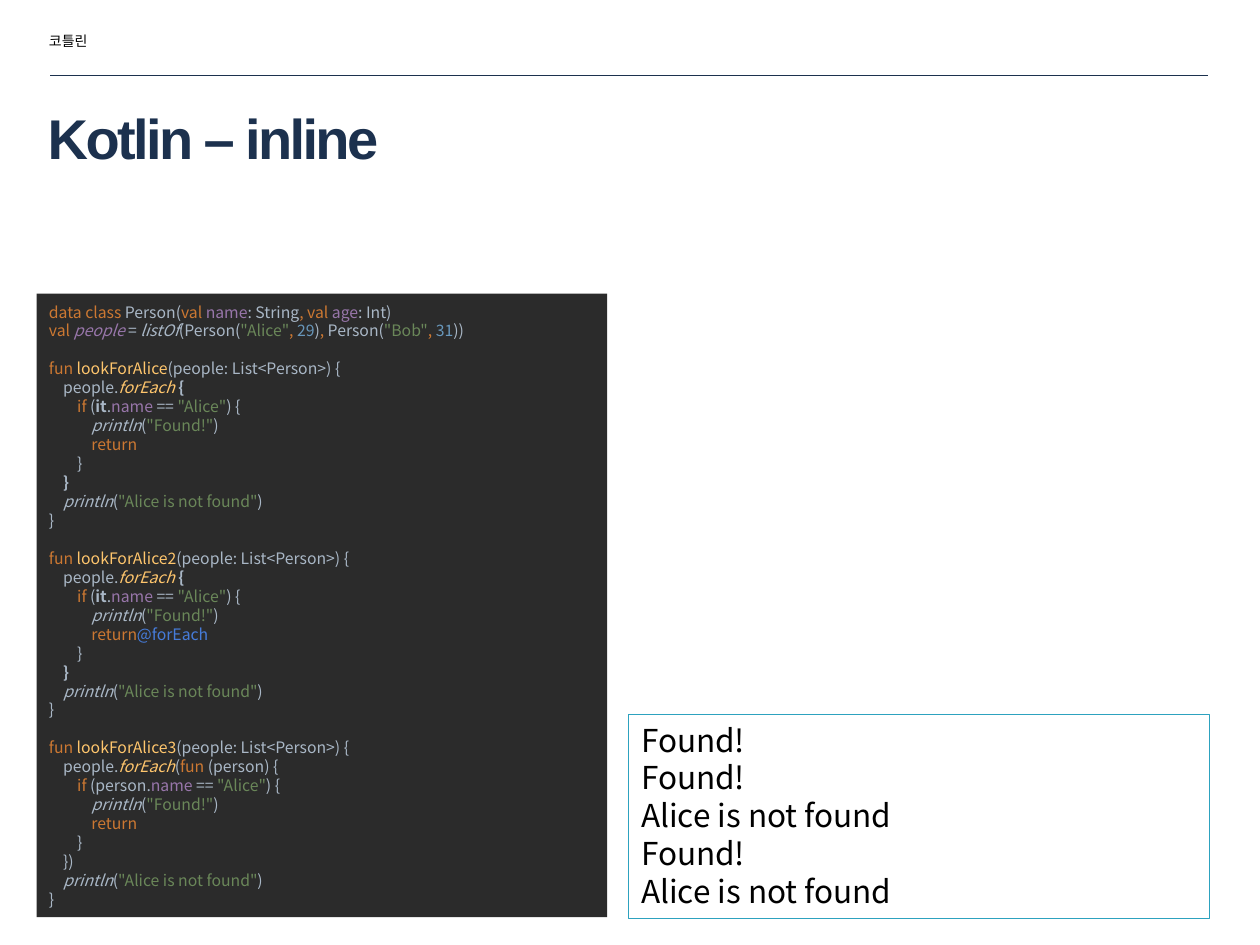
from copy import deepcopy
from dataclasses import dataclass

from pptx import Presentation
from pptx.dml.color import RGBColor
from pptx.enum.shapes import MSO_CONNECTOR, MSO_SHAPE
from pptx.enum.text import MSO_ANCHOR, PP_ALIGN
from pptx.oxml import parse_xml
from pptx.oxml.ns import nsdecls
from pptx.util import Inches, Pt


@dataclass(frozen=True)
class Theme:
    """Colours, fonts and type sizes of the slide."""
    navy: str = "1C314E"
    black: str = "000000"
    code_fill: str = "2B2B2B"
    output_line: str = "2DA2BF"
    heading_font: str = "Arial"
    body_font: str = "Noto Sans CJK KR"
    label_size: int = 8
    title_size: int = 32
    code_size: int = 9
    output_size: int = 18


THEME = Theme()

PLAIN = "A9B7C6"
SYNTAX = {
    "plain": dict(color=PLAIN),
    "bold": dict(color=PLAIN, bold=True),
    "call": dict(color=PLAIN, italic=True),
    "key": dict(color="CC7832"),
    "prop": dict(color="9876AA"),
    "value": dict(color="9876AA", italic=True),
    "text": dict(color="6A8759"),
    "num": dict(color="6897BB"),
    "func": dict(color="FFC66D"),
    "ext": dict(color="FFC66D", italic=True),
    "label": dict(color="467CDA"),
}

DECLARATIONS = [
    "key~data class |plain~Person(|key~val |prop~name|plain~: String"
    "|key~, val |prop~age|plain~: Int)",
    "key~val |value~people |plain~= |call~listOf|plain~(Person(|text~\"Alice\""
    "|key~, |num~29|plain~)|key~, |plain~Person(|text~\"Bob\"|key~, |num~31|plain~))",
]
LAMBDA = dict(opening="|ext~forEach |bold~{", subject="plain~(|bold~it|plain~.",
              closing="bold~    }")
ANONYMOUS = dict(opening="|ext~forEach|plain~(|key~fun |plain~(person) {",
                 subject="plain~(person.", closing="plain~    })")


def search_function(name, opening, subject, closing, label=""):
    """Return the marked-up lines of one search function, after a blank line."""
    return [
        "",
        f"key~fun |func~{name}|plain~(people: List<Person>) {{",
        f"plain~    people.{opening}",
        f"key~        if |{subject}|prop~name |plain~== |text~\"Alice\"|plain~) {{",
        "call~            println|plain~(|text~\"Found!\"|plain~)",
        f"key~            return{label}",
        "plain~        }",
        closing,
        "call~    println|plain~(|text~\"Alice is not found\"|plain~)",
        "plain~}",
    ]


CODE = (DECLARATIONS
        + search_function("lookForAlice", **LAMBDA)
        + search_function("lookForAlice2", label="|label~@forEach", **LAMBDA)
        + search_function("lookForAlice3", **ANONYMOUS))
OUTPUT = ["Found!", "Found!", "Alice is not found", "Found!", "Alice is not found"]


def add_text(paragraph, text, *, size, font, color, bold=False, italic=False,
             spacing=None):
    """Append a formatted run to a paragraph and return it."""
    run = paragraph.add_run()
    run.text = text
    run.font.size = Pt(size)
    run.font.name = font
    run.font.bold = bold
    run.font.italic = italic
    run.font.color.rgb = RGBColor.from_string(color)
    if spacing is not None:
        run.font._element.set("spc", str(round(spacing * 100)))
    return run


def add_break(paragraph, run):
    """Add a line break as tall as the given run."""
    paragraph.add_line_break()
    paragraph._p[-1].append(deepcopy(run.font._element))


def add_text_box(slide, box, anchor=MSO_ANCHOR.TOP):
    """Add a wrapping text box and return its first paragraph."""
    frame = slide.shapes.add_textbox(*map(Inches, box)).text_frame
    frame.word_wrap = True
    frame.vertical_anchor = anchor
    return frame.paragraphs[0]


def add_panel(slide, box, anchor, fill=None, line=None):
    """Add a rectangle for text and return its text frame."""
    shape = slide.shapes.add_shape(MSO_SHAPE.RECTANGLE, *map(Inches, box))
    shape.shadow.inherit = False
    if fill:
        shape.fill.solid()
        shape.fill.fore_color.rgb = RGBColor.from_string(fill)
    else:
        shape.fill.background()
    if line:
        shape.line.color.rgb = RGBColor.from_string(line)
        shape.line.width = Pt(0.75)
    else:
        shape.line.fill.background()
    frame = shape.text_frame
    frame.word_wrap = True
    frame.vertical_anchor = anchor
    return frame


def add_header(slide, left, top, width):
    """Place the section label, the rule and the title."""
    add_text(add_text_box(slide, (left, top, 1.73, 0.24)), "코틀린",
             size=THEME.label_size, font=THEME.heading_font, color=THEME.black)
    rule_top = Inches(top + 0.39)
    rule = slide.shapes.add_connector(MSO_CONNECTOR.STRAIGHT, Inches(left + 0.11),
                                      rule_top, Inches(left + width), rule_top)
    rule.line.color.rgb = RGBColor.from_string(THEME.navy)
    rule.line.width = Pt(0.25)
    rule._element.spPr.append(parse_xml(f"<a:effectLst {nsdecls('a')}/>"))
    title = add_text_box(slide, (left - 0.01, top + 0.56, width + 0.11, 0.64),
                         MSO_ANCHOR.MIDDLE)
    add_text(title, "Kotlin – inline", size=THEME.title_size, bold=True,
             font=THEME.heading_font, color=THEME.navy, spacing=-1.5)


def add_code(slide, box, lines):
    """Place the dark panel with syntax-coloured code."""
    frame = add_panel(slide, box, MSO_ANCHOR.MIDDLE, fill=THEME.code_fill)
    paragraph = frame.paragraphs[0]
    paragraph.alignment = PP_ALIGN.LEFT
    run = None
    for line in lines:
        if run is not None:
            add_break(paragraph, run)
        for piece in filter(None, line.split("|")):
            style, _, text = piece.partition("~")
            run = add_text(paragraph, text, size=THEME.code_size,
                           font=THEME.body_font, **SYNTAX[style])


def add_output(slide, box, lines):
    """Place the outlined panel with the program output."""
    frame = add_panel(slide, box, MSO_ANCHOR.TOP, line=THEME.output_line)
    for index, line in enumerate(lines):
        paragraph = frame.add_paragraph() if index else frame.paragraphs[0]
        paragraph.alignment = PP_ALIGN.LEFT
        add_text(paragraph, line, size=THEME.output_size,
                 font=THEME.body_font, color=THEME.black)


def main():
    """Build and save the presentation."""
    presentation = Presentation()
    presentation.slide_width = Inches(10)
    presentation.slide_height = Inches(7.5)
    slide = presentation.slides.add_slide(presentation.slide_layouts[6])
    add_header(slide, 0.29, 0.21, 9.3)
    add_code(slide, (0.29, 2.33, 4.53, 4.95), CODE)
    add_output(slide, (4.99, 5.67, 4.61, 1.62), OUTPUT)
    presentation.save("out.pptx")


main()
